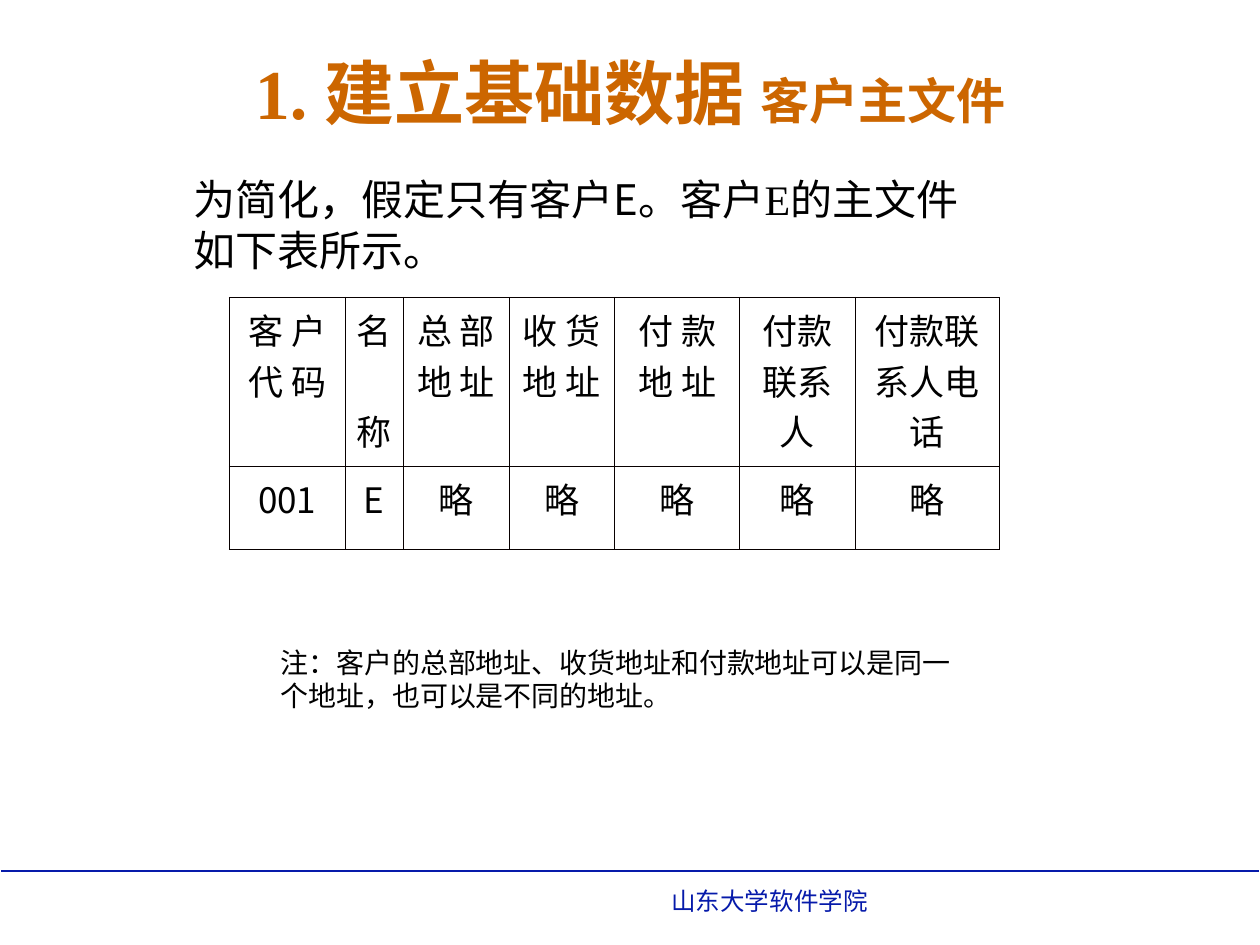
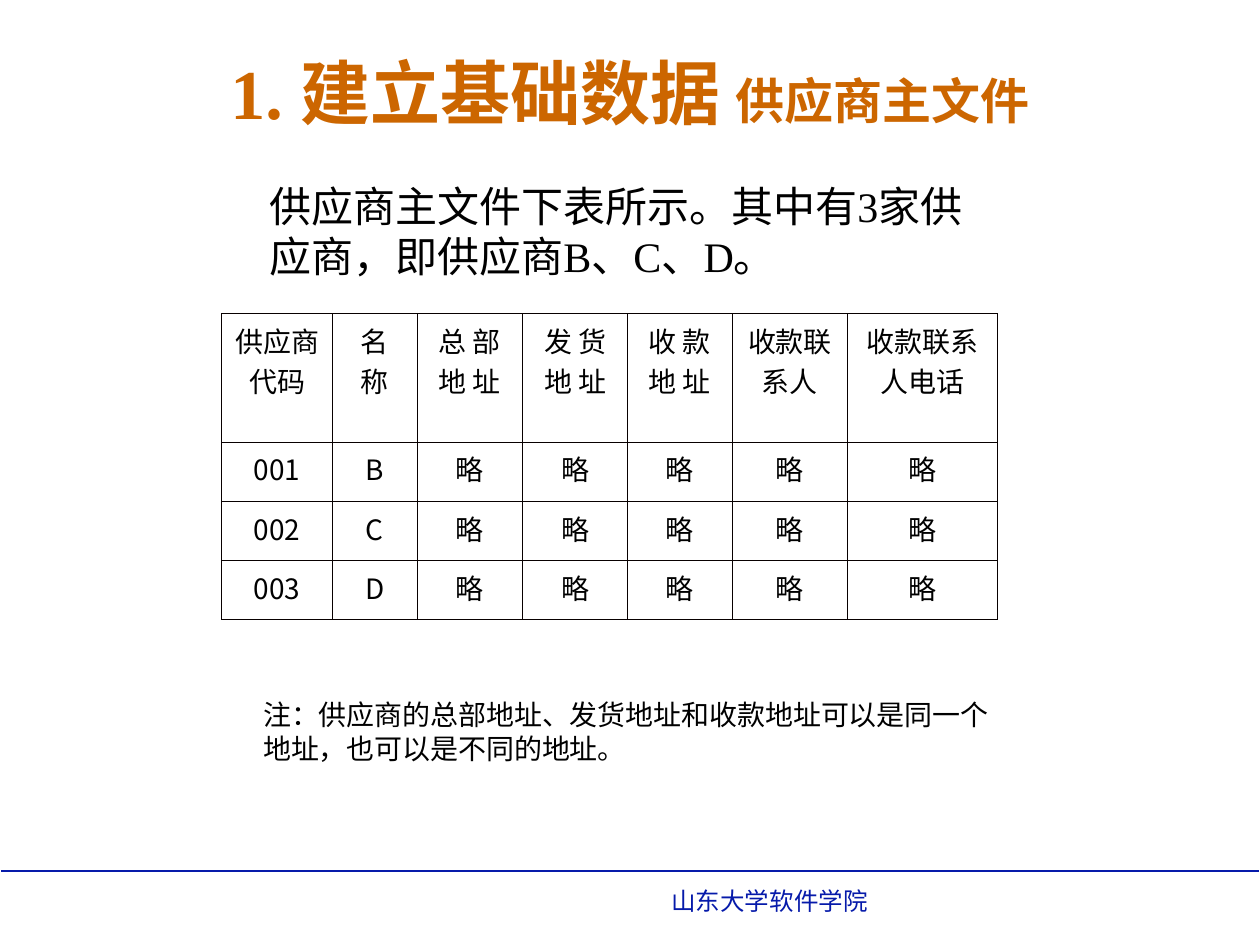
from lxml.etree import SubElement
from pptx import Presentation
from pptx.dml.color import RGBColor
from pptx.enum.shapes import MSO_CONNECTOR
from pptx.enum.text import MSO_ANCHOR, PP_ALIGN
from pptx.oxml.ns import qn
from pptx.util import Inches, Pt

BLACK = RGBColor(0x00, 0x00, 0x00)
GRID = RGBColor(0x08, 0x00, 0x00)
NAVY = RGBColor(0x06, 0x1A, 0xAA)
ORANGE = RGBColor(0xCC, 0x66, 0x00)
SANS = "Noto Sans CJK SC"
SERIF = "Times New Roman"
FOOTER_FONT = "Arial"
OMITTED = ["略"] * 5


def add_span(para, text, size=24, font=SANS, color=BLACK, bold=False):
    """Append a run, pairing the serif Latin font with sans Chinese."""
    span = para.add_run()
    span.text = text
    span.font.size = Pt(size)
    span.font.name = font
    span.font.bold = bold
    span.font.color.rgb = color
    SubElement(span.font._element, qn("a:ea"), typeface=SANS if font == SERIF else font)


def add_text(page, box, spans, align=PP_ALIGN.LEFT, anchor=MSO_ANCHOR.TOP, top_inset=0.05):
    """Place one wrapped paragraph made of (text, format) spans in a box."""
    frame = page.shapes.add_textbox(*map(Inches, box)).text_frame
    frame.word_wrap = True
    frame.vertical_anchor = anchor
    frame.margin_top = Inches(top_inset)
    para = frame.paragraphs[0]
    para.alignment = align
    for text, style in spans:
        add_span(para, text, **style)


def add_footer(page):
    """Draw the rule and the school name at the foot of the page."""
    rule = page.shapes.add_connector(
        MSO_CONNECTOR.STRAIGHT, Inches(0.01), Inches(6.91), Inches(9.99), Inches(6.91))
    rule.line.color.rgb = NAVY
    rule.line.width = Pt(1)
    SubElement(rule._element.spPr, qn("a:effectLst"))
    style = {"size": 14, "font": FOOTER_FONT, "color": NAVY}
    add_text(page, (5.23, 6.98, 4.33, 0.34), [("山东大学软件学院", style)])


def add_title(page, topic):
    """Write the chapter title followed by its smaller topic."""
    style = {"font": SERIF, "color": ORANGE, "bold": True}
    spans = [("1. 建立基础数据 ", {**style, "size": 40}), (topic, {**style, "size": 28})]
    add_text(page, (0.75, 0.31, 8.5, 0.83), spans, PP_ALIGN.CENTER, MSO_ANCHOR.MIDDLE)


def set_borders(cell):
    """Rule all four sides of a cell with a thin line."""
    properties = cell._tc.get_or_add_tcPr()
    for index, side in enumerate(("lnL", "lnR", "lnT", "lnB")):
        line = SubElement(properties, qn(f"a:{side}"), w=str(Pt(0.45)))
        fill = SubElement(line, qn("a:solidFill"))
        SubElement(fill, qn("a:srgbClr"), val=str(GRID))
        properties.remove(line)
        properties.insert(index, line)


def add_master_table(page, corner, widths, heights, rows, size, side_inset):
    """Build a ruled table of centred text from its top-left corner."""
    box = (*corner, sum(widths), sum(heights))
    table = page.shapes.add_table(len(rows), len(widths), *map(Inches, box)).table
    table.first_row = table.horz_banding = False
    for column, width in zip(table.columns, widths):
        column.width = Inches(width)
    for row, height, texts in zip(table.rows, heights, rows):
        row.height = Inches(height)
        for cell, text in zip(row.cells, texts):
            cell.margin_left = cell.margin_right = Inches(side_inset)
            cell.fill.background()
            set_borders(cell)
            para = cell.text_frame.paragraphs[0]
            para.alignment = PP_ALIGN.CENTER
            for line_index, line in enumerate(text.split("\v")):
                if line_index:
                    para.add_line_break()
                if line:
                    add_span(para, line, size)
            for line_break in para._p.findall(qn("a:br")):
                style = SubElement(line_break, qn("a:rPr"), sz=str(size * 100))
                for script in ("latin", "ea"):
                    SubElement(style, qn(f"a:{script}"), typeface=SANS)


def add_page(deck, topic, intro_box, intro, table, note_box, note):
    """Add a page with title, introduction, master table and note."""
    page = deck.slides.add_slide(deck.slide_layouts[6])
    add_footer(page)
    add_title(page, topic)
    add_text(page, intro_box, [(text, {"font": font}) for text, font in intro])
    add_master_table(page, **table)
    add_text(page, note_box, [(note, {"size": 16})], top_inset=0.19)


def main():
    """Build the customer and supplier pages."""
    deck = Presentation()
    deck.slide_width, deck.slide_height = Inches(10), Inches(7.5)
    customers = {
        "corner": (1.82, 2.36),
        "widths": [0.92, 0.46, 0.84, 0.84, 0.99, 0.92, 1.14],
        "heights": [1.34, 0.66],
        "rows": [["客 户 代 码", "名\v\v称", "总 部 地 址", "收 货 地 址", "付 款 地 址",
                  "付款联系人", "付款联系人电话"],
                 ["001", "E", *OMITTED]],
        "size": 20,
        "side_inset": 0.08,
    }
    add_page(
        deck, "客户主文件", (1.44, 1.33, 6.34, 1.3),
        [("为简化，假定只有客户E。客户", SANS), ("E", SERIF), ("的主文件如下表所示。", SANS)],
        customers, (2.13, 4.93, 5.56, 0.77),
        "注：客户的总部地址、收货地址和付款地址可以是同一个地址，也可以是不同的地址。")
    suppliers = {
        "corner": (1.76, 2.49),
        "widths": [0.88, 0.67, 0.84, 0.83, 0.83, 0.92, 1.19],
        "heights": [1.02] + [0.47] * 3,
        "rows": [["供应商代码", "名\v称", "总 部 地 址", "发 货 地 址", "收 款 地 址",
                  "收款联系人", "收款联系人电话"],
                 *([f"{number:03}", name, *OMITTED] for number, name in enumerate("BCD", 1))],
        "size": 16,
        "side_inset": 0.07,
    }
    add_page(
        deck, "供应商主文件", (2.04, 1.38, 5.74, 1.3),
        [("供应商主文件下表所示。其中有", SANS), ("3", SERIF), ("家供应商，即供应商", SANS),
         ("B", SERIF), ("、", SANS), ("C、D", SERIF), ("。", SANS)],
        suppliers, (1.99, 5.35, 6.01, 0.77),
        "注：供应商的总部地址、发货地址和收款地址可以是同一个地址，也可以是不同的地址。")
    deck.save("out.pptx")


if __name__ == "__main__":
    main()
